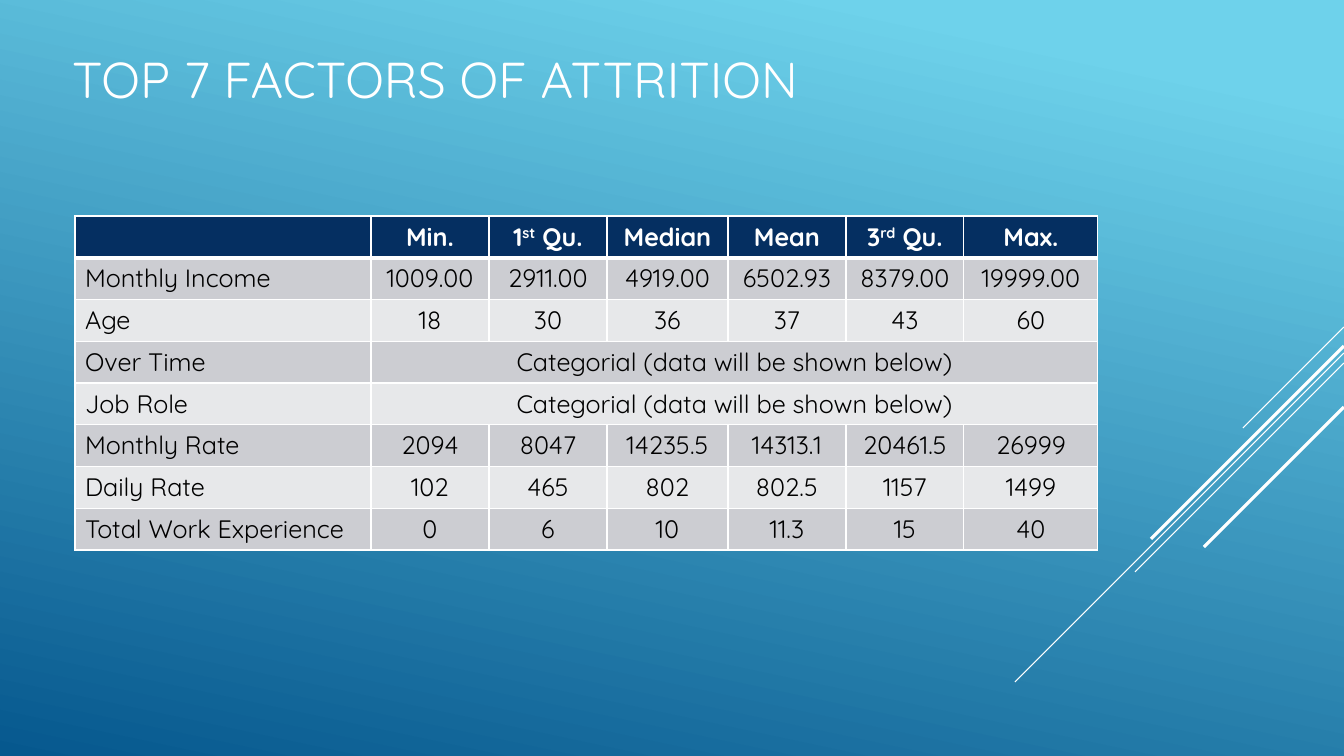
from dataclasses import dataclass
from itertools import pairwise

from lxml import etree
from pptx import Presentation, util as u
from pptx.dml.color import RGBColor
from pptx.enum import shapes, text
from pptx.oxml.ns import qn

EMU_PER_PIXEL = 914400 / 100.8


@dataclass(frozen=True)
class Theme:
    font: str = "Quicksand"
    title_size: int = 36
    table_size: int = 18
    white: str = "FFFFFF"
    black: str = "000000"
    sky: str = "6ED2EB"
    ocean: str = "06588E"
    header: str = "052F61"
    bands: tuple = ("CCCDD2", "E7E8EA")


THEME = Theme()

CATEGORICAL = ["Categorial (data will be shown below)"]
HEADINGS = ["", "Min.", "1^st^ Qu.", "Median", "Mean", "3^rd^ Qu.", "Max."]
FACTORS = [
    ["Monthly Income", "1009.00", "2911.00", "4919.00", "6502.93", "8379.00", "19999.00"],
    ["Age", "18", "30", "36", "37", "43", "60"],
    ["Over Time"] + CATEGORICAL,
    ["Job Role"] + CATEGORICAL,
    ["Monthly Rate", "2094", "8047", "14235.5", "14313.1", "20461.5", "26999"],
    ["Daily Rate", "102", "465", "802", "802.5", "1157", "1499"],
    ["Total Work Experience", "0", "6", "10", "11.3", "15", "40"],
]
COLUMN_WIDTHS = [296, 118, 118, 121, 118, 118, 134]

# Diagonals: drop below the top of the box, length across, weight in points
DIAGONALS = [(0, 101, 0.75), (26, 329, 0.75), (36, 209, 0.75), (19, 193, 2.25), (80, 140, 2.25)]


def px(length):
    return u.Emu(round(length * EMU_PER_PIXEL))


def rgb(code):
    return RGBColor.from_string(code)


def style_font(font, size, color, bold=False):
    font.name, font.size, font.bold = THEME.font, u.Pt(size), bold
    font.color.rgb = rgb(color)


# Background
def paint_background(page):
    fill = page.background.fill
    fill.gradient()
    fill.gradient_angle = 360 - 102
    stops = [(0.1, THEME.sky), (1, THEME.ocean)]
    for stop, (position, color) in zip(fill.gradient_stops, stops):
        stop.position = position
        stop.color.rgb = rgb(color)


# Diagonal lines, all falling at 45 degrees from the right edge
def draw_diagonals(page, box):
    left, top, width, _ = box
    right = left + width
    for drop, length, weight in DIAGONALS:
        start = top + drop
        line = page.shapes.add_connector(
            shapes.MSO_CONNECTOR.STRAIGHT,
            px(right), px(start), px(right - length), px(start + length))
        line.line.color.rgb = rgb(THEME.white)
        line.line.width = u.Pt(weight)
        etree.SubElement(line._element.spPr, qn("a:effectLst"))


# Title
def write_title(page, box, wording):
    title = page.shapes.title
    title.left, title.top, title.width, title.height = map(px, box)
    frame = title.text_frame
    frame.text = wording
    frame.word_wrap = True
    frame.auto_size = text.MSO_AUTO_SIZE.NONE
    frame.vertical_anchor = text.MSO_ANCHOR.BOTTOM
    para = frame.paragraphs[0]
    para.alignment = text.PP_ALIGN.LEFT
    style_font(para.font, THEME.title_size, THEME.white)


# Table
def set_borders(cell, weights):
    properties = cell._tc.get_or_add_tcPr()
    for side, weight in weights.items():
        border = etree.SubElement(properties, qn(f"a:ln{side}"), w=str(u.Pt(weight)))
        fill = etree.SubElement(border, qn("a:solidFill"))
        etree.SubElement(fill, qn("a:srgbClr"), val=THEME.white)


def write_cell(cell, wording, align, color, bold):
    para = cell.text_frame.paragraphs[0]
    para.alignment = align
    style_font(para.font, THEME.table_size, color, bold)
    # Text between carets is raised
    for index, part in enumerate(wording.split("^")):
        if part:
            span = para.add_run()
            span.text = part
            if index % 2:
                span.font._element.set("baseline", "30000")


def draw_table(page, box):
    rows = [HEADINGS] + FACTORS
    count = len(COLUMN_WIDTHS)
    table = page.shapes.add_table(len(rows), count, *map(px, box)).table
    for column, width in zip(table.columns, COLUMN_WIDTHS):
        column.width = px(width)
    edges = [px(box[3] * step / len(rows)) for step in range(len(rows) + 1)]
    for row, (upper, lower) in zip(table.rows, pairwise(edges)):
        row.height = lower - upper

    for r, values in enumerate(rows):
        heading = r == 0
        shade = THEME.header if heading else THEME.bands[(r - 1) % 2]
        weights = {"L": 1, "R": 1, "T": 3 if r == 1 else 1, "B": 3 if heading else 1}
        for c in range(count):
            cell = table.cell(r, c)
            set_borders(cell, weights)
            cell.fill.solid()
            cell.fill.fore_color.rgb = rgb(shade)
            if c < len(values):
                write_cell(cell, values[c],
                           text.PP_ALIGN.CENTER if c else text.PP_ALIGN.LEFT,
                           THEME.white if heading else THEME.black, heading)
        if len(values) < count:
            table.cell(r, 1).merge(table.cell(r, count - 1))


def build_factors_page(deck):
    page = deck.slides.add_slide(deck.slide_layouts[5])
    paint_background(page)
    draw_diagonals(page, (1015, 327, 329, 355))
    write_title(page, (62, 38, 940, 76), "TOP 7 FACTORS OF ATTRITION")
    draw_table(page, (75, 216, sum(COLUMN_WIDTHS), 334))


deck = Presentation()
deck.slide_width, deck.slide_height = px(1344), px(756)
build_factors_page(deck)
deck.save("out.pptx")
